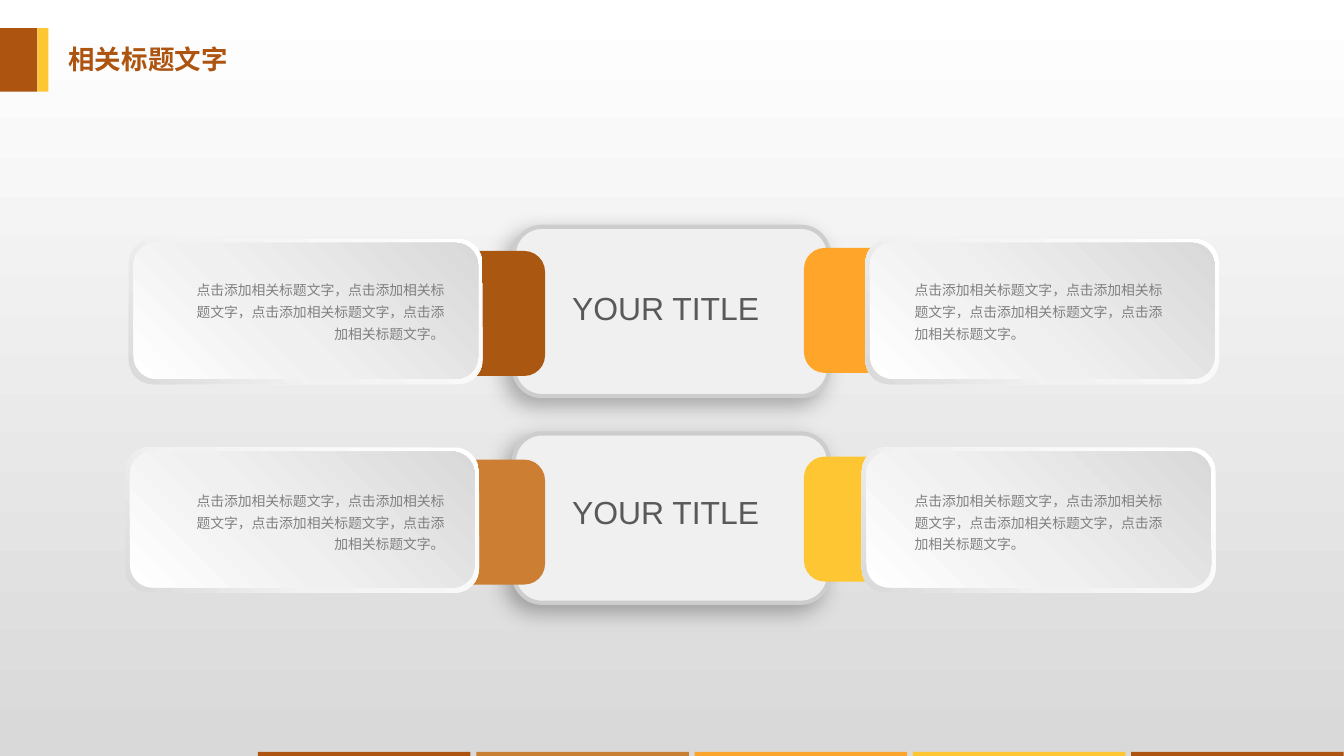
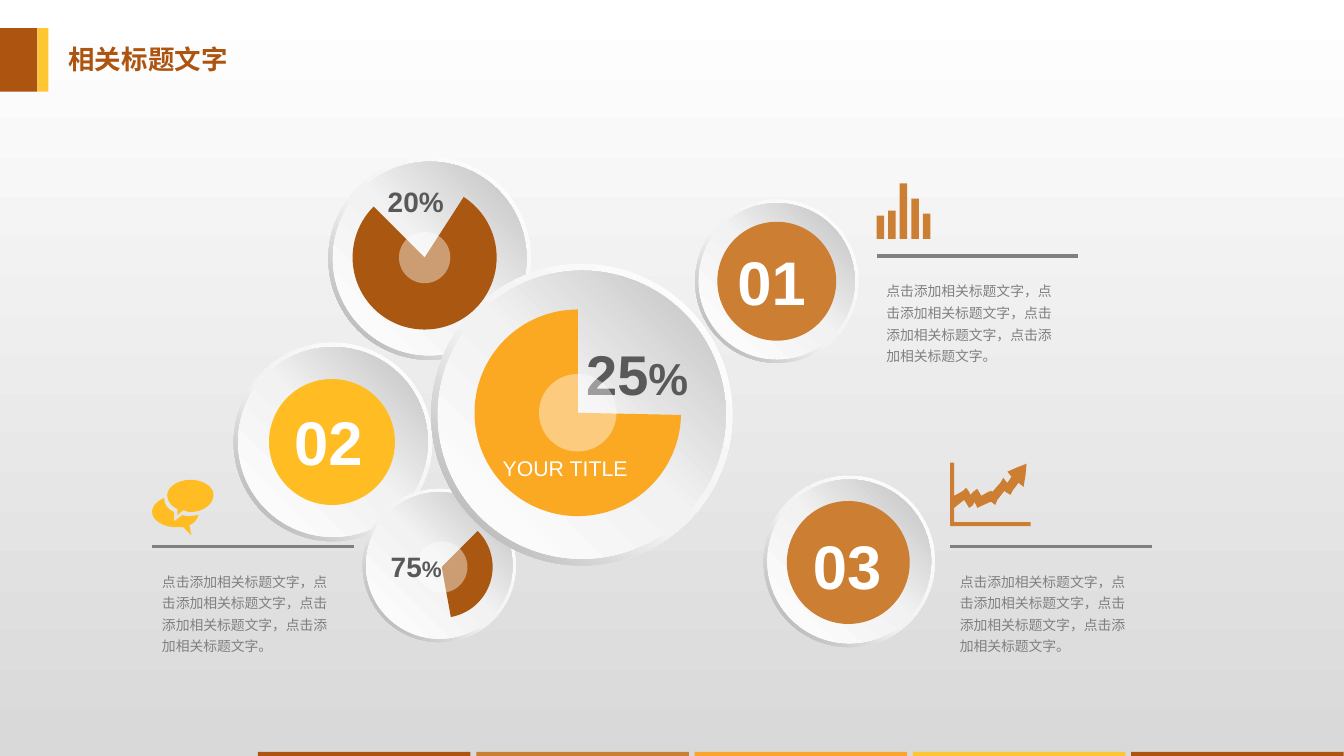
from lxml import etree
from pptx import Presentation
from pptx import util as u
from pptx.dml.color import RGBColor
from pptx.enum import shapes, text
from pptx.oxml.ns import qn

COLORS = {
    "rust": "AD5410", "brown": "A95711", "copper": "CC7E33", "bronze": "C98033",
    "orange": "FFA52A", "tangerine": "FCA52C", "amber": "FBA823",
    "yellow": "FFC633", "gold": "FFBD23", "white": "FFFFFF", "edge": "CDCDCD",
    "grey": "808080", "dark": "595959", "black": "000000",
}
GRADS = {
    "page": (90, [(0, "FFFFFF"), (99, "D9D9D9")]),
    "panel": (45, [(0, "F0F0F0"), (100, "F1F1F1")]),
    "rim": (135, [(0, "FFFFFF"), (62, "F2F2F2"), (100, "D9D9D9")]),
    "card": (315, [(0, "FFFFFF"), (42, "F0F0F0"), (100, "D9D9D9")]),
    "ring": (135, [(0, "FFFFFF"), (55, "F2F2F2"), (100, "A6A6A6")]),
    "disc": (315, [(0, "FFFFFF"), (51, "F2F2F2"), (100, "BFBFBF")]),
}
COLS, ROWS = 133.4, 75
BODY = "点击添加相关标题文字，" * 3 + "点击添加相关标题文字。"
HEADING = "相关标题文字"
SHAPE = shapes.MSO_SHAPE
LEFT, RIGHT = text.PP_ALIGN.LEFT, text.PP_ALIGN.RIGHT


def rgb(name):
    """Return the named colour."""
    return RGBColor.from_string(COLORS[name])


def gradient(fill, props, name):
    """Give a fill the named gradient; props is the element that holds it."""
    angle, stops = GRADS[name]
    fill.gradient()
    fill.gradient_angle = 360 - angle
    gs_list = next(props.iter(qn("a:gsLst")))
    for gs in list(gs_list):
        gs_list.remove(gs)
    for pos, color in stops:
        gs = etree.SubElement(gs_list, qn("a:gs"), pos=str(pos * 1000))
        etree.SubElement(gs, qn("a:srgbClr"), val=color)


def flatten(start, segments, steps=8):
    """Turn line points and cubic curves into a list of points."""
    points = [start]
    for seg in segments:
        if len(seg) == 2:
            points.append(seg)
            continue
        p0, p1, p2, p3 = points[-1], seg[:2], seg[2:4], seg[4:]
        for i in range(1, steps + 1):
            t = i / steps
            v = 1 - t
            points.append(tuple(
                v ** 3 * a + 3 * v * v * t * b + 3 * v * t * t * c + t ** 3 * d
                for a, b, c, d in zip(p0, p1, p2, p3)))
    return points


class Deck:
    """Holds the style, the grid and the current slide."""

    def __init__(self):
        """Set up the presentation and its shared background."""
        self.prs = Presentation()
        self.prs.slide_width, self.prs.slide_height = u.Inches(13.34), u.Inches(7.5)
        self.cell = self.prs.slide_width / COLS
        master = self.prs.slide_master
        gradient(master.background.fill, master.element, "page")

    def grid(self, *cells):
        """Convert grid cells to lengths."""
        return [u.Emu(round(n * self.cell)) for n in cells]

    def slide(self, title):
        """Add a slide with its title and bands."""
        self.s = self.prs.slides.add_slide(self.prs.slide_layouts[5])
        sp = self.s.shapes.title
        sp.left, sp.top, sp.width, sp.height = self.grid(5.8, 3.8, 40, 4.2)
        self.typeset(sp.text_frame, [(title, 18.9)], "rust", bold=True)
        self.shape(SHAPE.RECTANGLE, 3.7, 2.8, 1.1, 6.3, "yellow")
        self.shape(SHAPE.RECTANGLE, 0, 2.8, 3.7, 6.3, "rust")
        for i, color in enumerate(["rust", "bronze", "tangerine", "yellow", "rust"]):
            self.shape(SHAPE.RECTANGLE, 25.6 + 21.67 * i, ROWS - 0.4, 21.1, 0.4, color)

    def typeset(self, tf, runs, color, bold=False, align=LEFT, spacing=1.0, wrap=True):
        """Fill a text frame with one paragraph of (text, size) runs."""
        tf.auto_size = text.MSO_AUTO_SIZE.NONE
        tf.word_wrap = wrap
        tf.vertical_anchor = text.MSO_ANCHOR.TOP
        p = tf.paragraphs[0]
        p.alignment, p.line_spacing = align, spacing
        for words, size in runs:
            r = p.add_run()
            r.text = words
            r.font.name, r.font.size, r.font.bold = "Arial", u.Pt(size), bold
            r.font.color.rgb = rgb(color)

    def text(self, x, y, w, h, runs, color, **style):
        """Add a text box."""
        tf = self.s.shapes.add_textbox(*self.grid(x, y, w, h)).text_frame
        self.typeset(tf, runs, color, **style)

    def body(self, x, y, w, h, align=LEFT):
        """Add a small grey paragraph."""
        self.text(x, y, w, h, [(BODY, 9.9)], "grey", align=align, spacing=1.3)

    def paint(self, sp, fill):
        """Fill a shape without line or shadow."""
        sp.shadow.inherit = False
        sp.line.fill.background()
        if fill in GRADS:
            gradient(sp.fill, sp._element.spPr, fill)
        else:
            sp.fill.solid()
            sp.fill.fore_color.rgb = rgb(fill)
        return sp

    def shape(self, kind, x, y, w, h, fill):
        """Add a preset shape."""
        return self.paint(self.s.shapes.add_shape(kind, *self.grid(x, y, w, h)), fill)

    def panel(self, x, y, w, h):
        """Add an outlined panel with a soft shadow."""
        sp = self.shape(SHAPE.ROUNDED_RECTANGLE, x, y, w, h, "panel")
        sp.line.color.rgb, sp.line.width = rgb("edge"), u.Pt(3)
        shadow = etree.SubElement(
            sp._element.spPr.find(qn("a:effectLst")), qn("a:outerShdw"),
            blurRad=str(u.Pt(16)), dist=str(u.Pt(7)), dir=str(135 * 60000),
            algn="ctr", rotWithShape="0")
        clr = etree.SubElement(shadow, qn("a:srgbClr"), val=COLORS["black"])
        etree.SubElement(clr, qn("a:alpha"), val="30000")

    def card(self, x, y):
        """Add a card with a shaded rim."""
        self.shape(SHAPE.ROUNDED_RECTANGLE, x, y, 35.1, 14.4, "rim")
        self.shape(SHAPE.ROUNDED_RECTANGLE, x + 0.45, y + 0.4, 34.2, 13.5, "card")

    def circle(self, x, y, d, fill):
        """Add a circle."""
        return self.shape(SHAPE.OVAL, x, y, d, d, fill)

    def disc(self, x, y, d):
        """Add a raised disc with a thin ring."""
        ring = self.shape(SHAPE.DONUT, x, y, d, d, "ring")
        ring.adjustments[0] = 0.05
        inset = 0.022 * d
        self.circle(x + inset, y + inset, d - 2 * inset, "disc")

    def pie(self, x, y, d, start, end, fill):
        """Add a pie between two clockwise angles in degrees."""
        sp = self.shape(SHAPE.PIE, x, y, d, d, fill)
        sp.adjustments[0], sp.adjustments[1] = start * 0.6, end * 0.6

    def hub(self, x, y, d):
        """Add a translucent white circle."""
        sp = self.circle(x, y, d, "white")
        clr = next(sp._element.spPr.iter(qn("a:srgbClr")))
        etree.SubElement(clr, qn("a:alpha"), val="41000")

    def badge(self, x, y, d, fill, number, tx, ty):
        """Add a coloured circle and its number."""
        self.circle(x, y, d, fill)
        self.text(tx, ty, 8.9, 8.4, [(number, 44)], "white", bold=True, wrap=False)

    def note(self, x, y):
        """Add a rule with a paragraph under it."""
        x1, y1, x2 = self.grid(x, y, x + 20)
        line = self.s.shapes.add_connector(shapes.MSO_CONNECTOR.STRAIGHT, x1, y1, x2, y1)
        line.line.color.rgb, line.line.width = rgb("grey"), u.Pt(2.25)
        etree.SubElement(line._element.spPr, qn("a:effectLst"))
        self.body(x, y + 1.7, 19.6, 9.7)

    def outline(self, contours, fill):
        """Add a freeform made of closed contours."""
        builder = None
        for start, *segments in contours:
            first, *rest = [self.grid(*pt) for pt in flatten(start, segments)]
            if builder is None:
                builder = self.s.shapes.build_freeform(*first, scale=1.0)
            else:
                builder.move_to(*first)
            builder.add_line_segments(rest, close=True)
        self.paint(builder.convert_to_shape(), fill)


TREND = [[
    (94.7, 51.8), (102.3, 51.8), (102.3, 52.2), (94.3, 52.2), (94.3, 45.9),
    (94.7, 45.9), (94.7, 49.2), (95.6, 48.7), (95.9, 48.4), (96.2, 48.8),
    (96.3, 49.1), (96.6, 48.8), (97, 48.5), (97.3, 49), (97.4, 49.2),
    (98.1, 48.8), (98.4, 48.7), (98.5, 48.8), (99.3, 47.9), (99.6, 47.4),
    (99.8, 47.7), (100, 47.9), (100.4, 47.3), (100, 46.8), (100.9, 46.4),
    (101.9, 46), (101.8, 47.1), (101.6, 48.3), (101.1, 47.9), (100.5, 48.7),
    (100.3, 49.1), (99.8, 48.8), (99.7, 48.7), (99, 49.6), (98.8, 50.1),
    (98.4, 49.8), (98.3, 49.8), (97.4, 50.2), (97, 50.4), (96.9, 50.1),
    (96.7, 49.8), (96.6, 50.1), (96.2, 50.4), (95.9, 49.9), (95.7, 49.6),
    (94.7, 50.4),
]]
CHAT = [
    [(18.1, 51.1), (18, 51.2, 17.3, 51.7, 17.3, 51.7), (17.3, 50.8),
     (16.6, 50.5, 16.3, 50, 16.3, 49.4), (15.6, 49.7, 15.1, 50.2, 15.1, 50.8),
     (15.1, 51.6, 16.2, 52.3, 17.4, 52.3), (17.7, 52.3, 18, 52.3, 18.2, 52.3),
     (19, 53.1), (18.8, 52.1), (19.3, 51.9, 19.6, 51.5, 19.7, 51.1),
     (19.5, 51.1, 19.1, 51.2, 18.8, 51.2), (18.6, 51.2, 18.4, 51.2, 18.1, 51.1)],
    [(18.9, 47.6), (17.7, 47.6, 16.6, 48.3, 16.6, 49.1),
     (16.6, 49.7, 17, 50.2, 17.6, 50.5), (17.6, 51.1), (18.2, 50.6),
     (18.4, 50.7, 18.7, 50.8, 18.9, 50.8), (20.2, 50.8, 21.2, 50, 21.2, 49.1),
     (21.2, 48.3, 20.2, 47.6, 18.9, 47.6)],
]


def build_cards(deck):
    """Build the slide with two panels and four cards."""
    deck.slide(HEADING)
    rows = [(22.5, 28.1, 23.7, 27, 0, "brown", "orange"),
            (43, 48.4, 44.4, 47.9, -0.35, "copper", "yellow")]
    for panel_y, *_ in rows:
        deck.panel(51, panel_y, 31.3, 16.8)
    for _, title_y, card_y, body_y, shift, left, right in rows:
        deck.shape(SHAPE.ROUNDED_RECTANGLE, 23.9, card_y + 1.2, 30.2, 12.4, left)
        deck.shape(SHAPE.ROUNDED_RECTANGLE, 79.8, card_y + 0.9, 30.2, 12.4, right)
        for x in (12.8, 85.9):
            deck.card(x + shift, card_y)
        deck.text(55.8, title_y, 23.5, 4.8, [("YOUR TITLE", 22.8)], "dark")
        deck.body(17.9, body_y, 27.2, 7.5, RIGHT)
        deck.body(89.8, body_y, 27.2, 7.5)


def build_circles(deck):
    """Build the slide with pies, numbers and notes."""
    deck.slide(HEADING)
    for x, y, d in [(23.2, 34, 19.7), (32.6, 15.6, 20.1), (69, 19.8, 16.2),
                    (36, 48.5, 15.2), (42.8, 26.2, 29.9), (75.8, 47.2, 17)]:
        deck.disc(x, y, d)

    label = {"color": "dark", "bold": True, "wrap": False}
    deck.pie(38.8, 51.2, 10.1, 315, 79.7, "brown")
    deck.hub(41.3, 53.7, 5.1)
    deck.text(37.8, 54, 7.1, 4.4, [("75", 20), ("%", 16)], **label)
    deck.pie(35, 18.4, 14.3, 302.86, 225, "brown")
    deck.text(37.5, 17.8, 7.6, 4.4, [("20%", 20)], **label)
    deck.hub(39.6, 23, 5.1)
    deck.pie(47.1, 30.7, 20.5, 1.21, 270, "amber")
    deck.text(57.2, 33.2, 12.3, 7.7, [("25", 40), ("%", 32)], **label)
    deck.hub(53.5, 37.1, 7.7)
    deck.text(48.8, 44.7, 14.5, 3.6, [("YOUR TITLE", 15.2)], "white",
              align=RIGHT, wrap=False)

    deck.badge(71.2, 22, 11.8, "copper", "01", 72.2, 23.7)
    deck.badge(26.7, 37.6, 12.5, "gold", "02", 28.2, 39.6)
    deck.badge(78.1, 49.7, 12.2, "copper", "03", 79.7, 51.9)

    for x, y in [(87, 25.4), (94.3, 54.2), (15.1, 54.2)]:
        deck.note(x, y)
    for i, h in enumerate([2.3, 2.8, 5.5, 4, 2.5]):
        deck.shape(SHAPE.RECTANGLE, 87 + 1.15 * i, 23.7 - h, 0.75, h, "copper")
    deck.outline(TREND, "copper")
    deck.outline(CHAT, "gold")


def main():
    """Build and save the deck."""
    deck = Deck()
    build_cards(deck)
    build_circles(deck)
    deck.prs.save("out.pptx")


if __name__ == "__main__":
    main()
